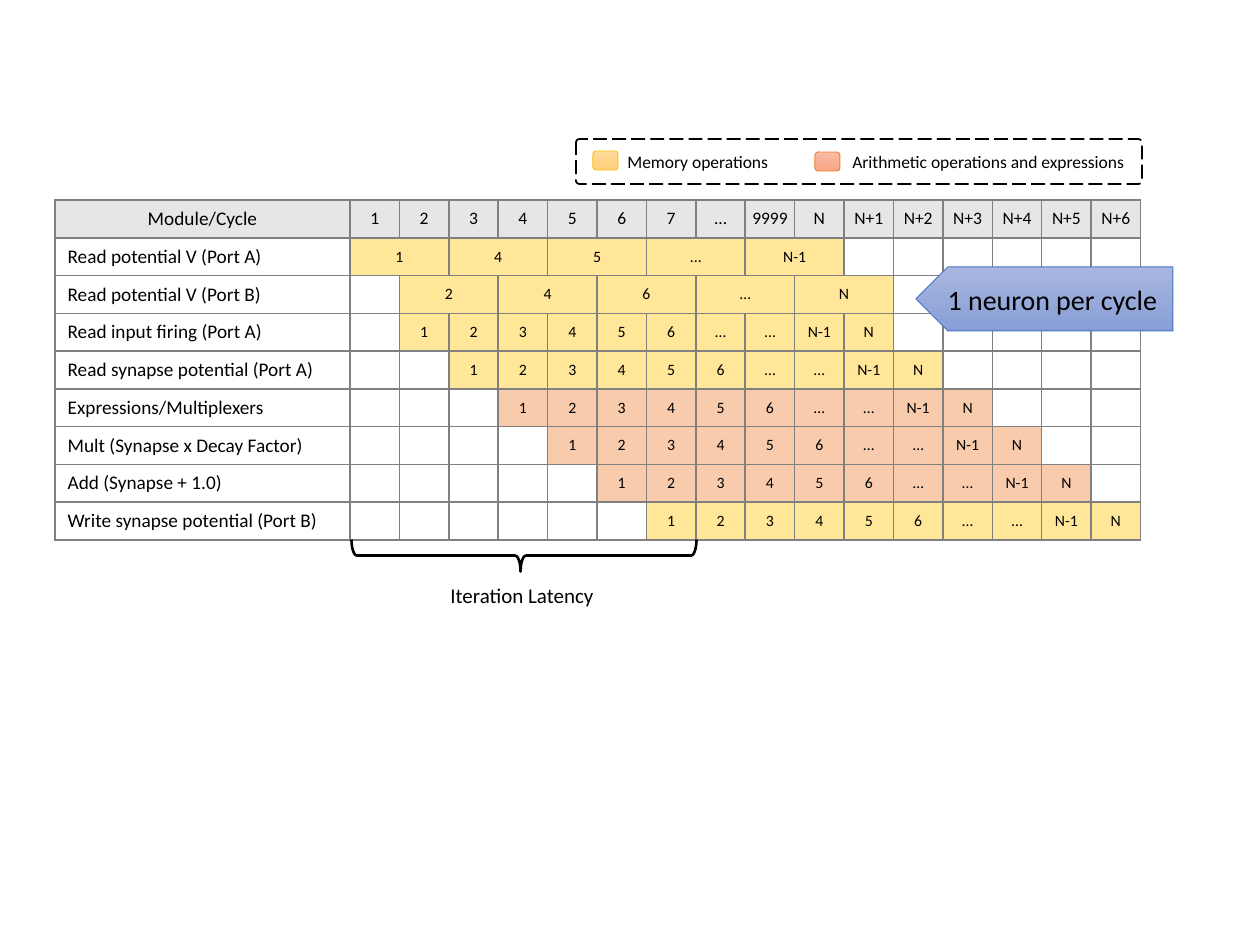
from typing import Any, NamedTuple

from lxml.etree import SubElement
from pptx import Presentation
from pptx.dml.color import RGBColor
from pptx.enum.dml import MSO_LINE
from pptx.enum.shapes import MSO_SHAPE as Preset
from pptx.enum.text import MSO_ANCHOR as Anchor, MSO_AUTO_SIZE as AutoSize, PP_ALIGN as Align
from pptx.oxml.ns import qn
from pptx.util import Emu, Pt

SCALE = 914400 / 126
FONT = "Calibri"
BLACK = RGBColor(0x00, 0x00, 0x00)
GRID_GREY = RGBColor(0x80, 0x80, 0x80)
HEADER_GREY = RGBColor(0xE7, 0xE6, 0xE6)
MEMORY = RGBColor(0xFF, 0xE6, 0x99)
ARITHMETIC = RGBColor(0xF8, 0xCB, 0xAD)
MEMORY_LINE = RGBColor(0xFF, 0xC0, 0x00)
MEMORY_TOP = RGBColor(0xFF, 0xDB, 0x9E)
MEMORY_BOTTOM = RGBColor(0xFF, 0xD0, 0x7C)
ARITHMETIC_LINE = RGBColor(0xED, 0x7D, 0x31)
ARITHMETIC_TOP = RGBColor(0xF7, 0xBD, 0xA5)
ARITHMETIC_BOTTOM = RGBColor(0xF8, 0xA5, 0x82)
BLUE_LINE = RGBColor(0x44, 0x72, 0xC4)
BLUE_TOP = RGBColor(0xA8, 0xB7, 0xDF)
BLUE_BOTTOM = RGBColor(0x88, 0x9E, 0xD7)


class Box(NamedTuple):
    left: int
    top: int
    width: int
    height: int


class Stage(NamedTuple):
    label: str
    start: int
    values: list[str]
    fill: RGBColor
    span: int = 1


class Outline(NamedTuple):
    preset: Preset
    box: Box
    line: RGBColor
    weight: float
    gradient: tuple[RGBColor, ...] = ()
    adjustments: tuple[float, ...] = ()
    flipped: bool = False
    format: dict[str, Any] = {}


class Caption(NamedTuple):
    text: str
    box: Box
    size: int
    wrap: bool = False


GRID = Box(55, 200, 1086, 340)
LABEL_WIDTH = 295
CYCLES = ["1", "2", "3", "4", "5", "6", "7", "…", "9999", "N"] + [f"N+{i}" for i in range(1, 7)]
FLOW = ["1", "2", "3", "4", "5", "6", "…", "…", "N-1", "N"]
STAGES = [
    Stage("Read potential V (Port A)", 1, ["1", "4", "5", "...", "N-1"], MEMORY, 2),
    Stage("Read potential V (Port B)", 2, ["2", "4", "6", "…", "N"], MEMORY, 2),
    Stage("Read input firing (Port A)", 2, FLOW, MEMORY),
    Stage("Read synapse potential (Port A)", 3, FLOW, MEMORY),
    Stage("Expressions/Multiplexers", 4, FLOW, ARITHMETIC),
    Stage("Mult (Synapse x Decay Factor)", 5, FLOW, ARITHMETIC),
    Stage("Add (Synapse + 1.0)", 6, FLOW, ARITHMETIC),
    Stage("Write synapse potential (Port B)", 7, FLOW, MEMORY),
]
THROUGHPUT = Outline(Preset.PENTAGON, Box(916, 267, 257, 64), BLUE_LINE, 0.5,
                     (BLUE_TOP, BLUE_BOTTOM), flipped=True)
LEGEND = [
    Outline(Preset.ROUNDED_RECTANGLE, Box(593, 151, 25, 19), MEMORY_LINE, 0.5,
            (MEMORY_TOP, MEMORY_BOTTOM)),
    Outline(Preset.ROUNDED_RECTANGLE, Box(576, 139, 566, 45), BLACK, 1,
            adjustments=(0.08,), format={"dash_style": MSO_LINE.LONG_DASH}),
    Outline(Preset.ROUNDED_RECTANGLE, Box(815, 152, 25, 19), ARITHMETIC_LINE, 0.5,
            (ARITHMETIC_TOP, ARITHMETIC_BOTTOM)),
]
LEGEND_CAPTIONS = [
    Caption("Memory operations", Box(615, 145, 194, 34), 10, True),
    Caption("Arithmetic operations and expressions", Box(840, 145, 301, 34), 10),
]
LATENCY = Outline(Preset.LEFT_BRACE, Box(508, 383, 32, 345), BLACK, 1.5,
                  adjustments=(0.17, 0.51), flipped=True)
LATENCY_CAPTION = Caption("Iteration Latency", Box(438, 576, 170, 38), 12)
NO_MARGINS = {f"margin_{side}": 0 for side in ("left", "top", "right", "bottom")}


def px(length: float) -> Emu:
    return Emu(round(length * SCALE))


def place(box: Box) -> list[Emu]:
    return [px(length) for length in box]


def apply(target: Any, values: dict[str, Any]) -> None:
    for attribute, value in values.items():
        setattr(target, attribute, value)


def write(frame: Any, text: str, size: int, align: Align) -> None:
    paragraph = frame.paragraphs[0]
    paragraph.alignment = align
    run = paragraph.add_run()
    run.text = text
    apply(run.font, {"name": FONT, "size": Pt(size)})
    run.font.color.rgb = BLACK


def draw_outline(shapes: Any, outline: Outline) -> Any:
    shape = shapes.add_shape(outline.preset, *place(outline.box))
    shape.shadow.inherit = False
    shape.line.color.rgb = outline.line
    apply(shape.line, {"width": Pt(outline.weight), **outline.format})
    for index, value in enumerate(outline.adjustments):
        shape.adjustments[index] = value
    if outline.gradient:
        shape.fill.gradient()
        shape.fill.gradient_angle = 270
        for stop, color in zip(shape.fill.gradient_stops, outline.gradient):
            stop.color.rgb = color
    else:
        shape.fill.background()
    if outline.flipped:
        shape._element.spPr.find(qn("a:xfrm")).set("flipH", "1")
    return shape


def draw_caption(shapes: Any, caption: Caption) -> None:
    frame = shapes.add_textbox(*place(caption.box)).text_frame
    apply(frame, {"word_wrap": caption.wrap, "auto_size": AutoSize.SHAPE_TO_FIT_TEXT})
    write(frame, caption.text, caption.size, Align.LEFT)


def add_borders(cell: Any) -> None:
    properties = cell._tc.get_or_add_tcPr()
    for index, edge in enumerate(("lnL", "lnR", "lnT", "lnB")):
        border = properties.makeelement(qn(f"a:{edge}"), {"w": str(Pt(1))})
        fill = SubElement(border, qn("a:solidFill"))
        SubElement(fill, qn("a:srgbClr"), val=str(GRID_GREY))
        properties.insert(index, border)


def fill_cell(cell: Any, text: str, size: int, color: RGBColor) -> None:
    apply(cell, NO_MARGINS)
    cell.fill.solid()
    cell.fill.fore_color.rgb = color
    write(cell.text_frame, text, size, Align.CENTER)


def draw_schedule(shapes: Any) -> None:
    row_count = len(STAGES) + 1
    table = shapes.add_table(row_count, len(CYCLES) + 1, *place(GRID)).table
    apply(table, {"first_row": False, "horz_banding": False})
    for index, column in enumerate(table.columns):
        column.width = px((GRID.width - LABEL_WIDTH) / len(CYCLES) if index else LABEL_WIDTH)
    for row in table.rows:
        row.height = px(GRID.height / row_count)
    for cell in table.iter_cells():
        cell.vertical_anchor = Anchor.MIDDLE
        cell.fill.background()
        add_borders(cell)
        cell.text_frame.paragraphs[0]._p.get_or_add_endParaRPr().set("sz", "900")
    fill_cell(table.cell(0, 0), "Module/Cycle", 11, HEADER_GREY)
    for column, cycle in enumerate(CYCLES, 1):
        fill_cell(table.cell(0, column), cycle, 10, HEADER_GREY)
    for row, stage in enumerate(STAGES, 1):
        write(table.cell(row, 0).text_frame, stage.label, 11, Align.LEFT)
        for index, value in enumerate(stage.values):
            column = stage.start + index * stage.span
            cell = table.cell(row, column)
            if stage.span > 1:
                cell.merge(table.cell(row, column + stage.span - 1))
            fill_cell(cell, value, 9, stage.fill)


def main() -> None:
    presentation = Presentation()
    apply(presentation, {"slide_width": px(1260), "slide_height": px(945)})
    shapes = presentation.slides.add_slide(presentation.slide_layouts[6]).shapes
    draw_schedule(shapes)
    throughput = draw_outline(shapes, THROUGHPUT)
    throughput.text_frame.vertical_anchor = Anchor.MIDDLE
    write(throughput.text_frame, "1 neuron per cycle", 16, Align.CENTER)
    legend = shapes.add_group_shape().shapes
    for outline in LEGEND:
        draw_outline(legend, outline)
    for caption in LEGEND_CAPTIONS:
        draw_caption(legend, caption)
    draw_outline(shapes, LATENCY).rotation = 90
    draw_caption(shapes, LATENCY_CAPTION)
    presentation.save("out.pptx")


if __name__ == "__main__":
    main()
